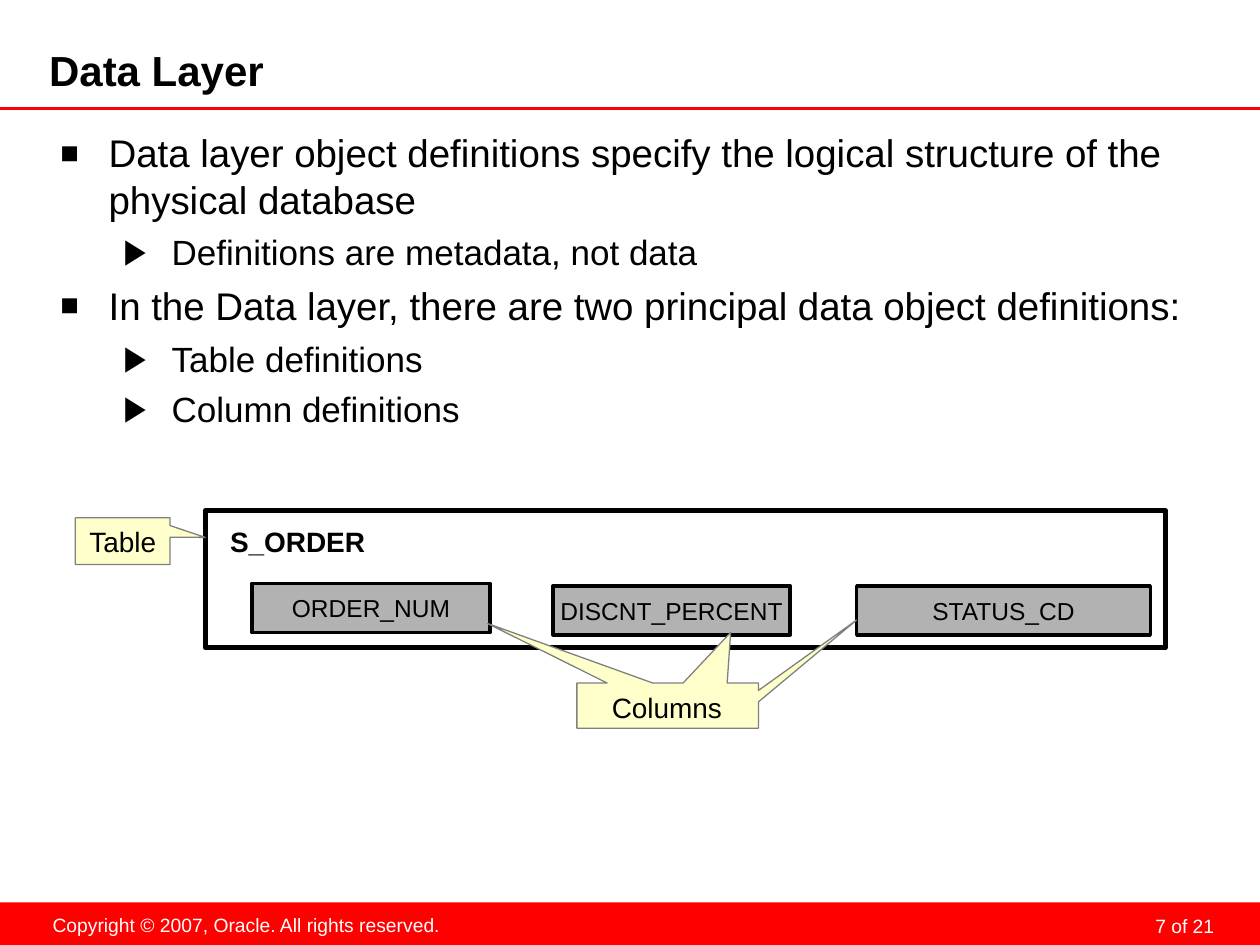
from lxml.etree import SubElement
from pptx import Presentation
from pptx.dml.color import RGBColor
from pptx.enum.shapes import MSO_CONNECTOR as CONN, MSO_SHAPE as SHAPE
from pptx.enum.text import MSO_ANCHOR as ANCHOR, PP_ALIGN as ALIGN
from pptx.oxml.ns import qn
from pptx.util import Cm, Pt

COLORS = {
    "red": "FF0000",
    "white": "FFFFFF",
    "black": "000000",
    "cell": "B2B2B2",
    "callout": "FFFFCC",
    "outline": "808080",
}
INSETS = (0.25, 0.13, 0.25, 0.13)
LEVELS = [
    {"char": "■", "percent": 80, "size": 22, "left": 0.97, "before": 5.5},
    {"char": "▶", "percent": 100, "size": 20, "left": 2.24, "before": 5},
]
BULLETS = [
    (0, "Data layer object definitions specify the logical structure of the physical database"),
    (1, "Definitions are metadata, not data"),
    (0, "In the Data layer, there are two principal data object definitions:"),
    (1, "Table definitions"),
    (1, "Column definitions"),
]


def rgb(name):
    return RGBColor.from_string(COLORS[name])


def style_shape(sp, fill=None, line=None, width=1):
    sp.shadow.inherit = False
    if fill:
        sp.fill.solid()
        sp.fill.fore_color.rgb = rgb(fill)
    else:
        sp.fill.background()
    if line:
        sp.line.color.rgb = rgb(line)
        sp.line.width = Pt(width)
    else:
        sp.line.fill.background()


def style_font(font, size, color="black", bold=False):
    font.name = "Arial"
    font.size = Pt(size)
    font.bold = bold
    font.color.rgb = rgb(color)


def set_frame(tf, insets=INSETS, anchor=ANCHOR.TOP, wrap=True):
    tf.margin_left, tf.margin_top, tf.margin_right, tf.margin_bottom = map(Cm, insets)
    tf.vertical_anchor = anchor
    tf.word_wrap = wrap


def put_text(sp, text, size, color="black", bold=False, align=ALIGN.LEFT, **frame):
    tf = sp.text_frame
    set_frame(tf, **frame)
    tf.text = text
    p = tf.paragraphs[0]
    p.alignment = align
    style_font(p.runs[0].font, size, color, bold)
    return p


def add_box(s, x, y, w, h, kind=SHAPE.RECTANGLE, **style):
    sp = s.shapes.add_shape(kind, Cm(x), Cm(y), Cm(w), Cm(h))
    style_shape(sp, **style)
    return sp


def add_label(s, x, y, w, h, text, size, **style):
    sp = s.shapes.add_textbox(Cm(x), Cm(y), Cm(w), Cm(h))
    return put_text(sp, text, size, **style)


def set_bullet(p, level):
    pPr = p._p.get_or_add_pPr()
    pPr.set("marL", str(Cm(level["left"])))
    pPr.set("indent", str(-Cm(0.97)))
    color = SubElement(pPr, qn("a:buClr"))
    SubElement(color, qn("a:srgbClr"), val=COLORS["black"])
    SubElement(pPr, qn("a:buSzPct"), val=str(level["percent"] * 1000))
    SubElement(pPr, qn("a:buFont"), typeface="Arial")
    SubElement(pPr, qn("a:buChar"), char=level["char"])


def add_footer(s, x, y, w, h):
    add_box(s, x, y, w, h, fill="red")
    p = add_label(s, x + 18.69, y + 0.08, 5.92, 0.64, "7 of 21", 11, color="white",
                  align=ALIGN.RIGHT, insets=(0.13, 0, 0.13, 0))
    p.line_spacing = Pt(18)
    add_label(s, x + 0.79, y + 0.1, 8.36, 0.74,
              "Copyright © 2007, Oracle. All rights reserved.", 11, color="white",
              align=ALIGN.CENTER, wrap=False)


def add_header(s, x, y, w, h):
    rule = s.shapes.add_connector(CONN.STRAIGHT, Cm(x), Cm(y + h), Cm(x + w), Cm(y + h))
    rule.line.color.rgb = rgb("red")
    rule.line.width = Pt(1.75)
    SubElement(rule._element.spPr, qn("a:effectLst"))
    add_label(s, x + 0.99, y + 0.97, 19.99, 1.02, "Data Layer", 24, bold=True,
              insets=(0, 0, 0.13, 0.13), anchor=ANCHOR.MIDDLE)


def add_body(s, x, y, w, h):
    tf = s.shapes.add_textbox(Cm(x), Cm(y), Cm(w), Cm(h)).text_frame
    set_frame(tf, insets=(0.25, 0.25, 0.25, 0.13))
    for i, (depth, text) in enumerate(BULLETS):
        level = LEVELS[depth]
        p = tf.add_paragraph() if i else tf.paragraphs[0]
        p.text = text
        p.level = depth
        if i:
            p.space_before = Pt(level["before"])
        set_bullet(p, level)
        style_font(p.runs[0].font, level["size"])


def add_table_diagram(s, x, y, w, h):
    add_box(s, x, y, w, h, line="black", width=3)
    add_label(s, x + 0.25, y + 0.15, 3.23, 0.94, "S_ORDER", 16, bold=True, wrap=False)
    columns = [
        ("ORDER_NUM", 0.94, 1.47, 4.8),
        ("DISCNT_PERCENT", 7.01, 1.52, 4.78),
        ("STATUS_CD", 13.13, 1.52, 5.92),
    ]
    for name, left, top, width in columns:
        sp = add_box(s, x + left, y + top, width, 0.99, fill="cell", line="black", width=2)
        put_text(sp, name, 14, align=ALIGN.CENTER, anchor=ANCHOR.MIDDLE, wrap=False)


def add_columns_callout(s, x, y, w, h):
    left, right, top = 1.8, 5.46, 1.27
    outline = [
        (left, top), (2.41, top), (0, 0.07), (3.33, top), (3.94, top), (4.9, 0.25),
        (4.83, top), (right, top), (right, 1.42), (w, 0), (right, 1.65), (right, h), (left, h),
    ]
    points = [(Cm(x + px), Cm(y + py)) for px, py in outline]
    builder = s.shapes.build_freeform(*points[0])
    builder.add_line_segments(points[1:], close=True)
    style_shape(builder.convert_to_shape(), fill="callout", line="outline", width=0.75)
    add_label(s, x + 0.25, y + 1.3, 6.73, 0.94, "Columns", 16, align=ALIGN.CENTER)


def add_table_callout(s, x, y, w, h):
    sp = add_box(s, x, y, w, h, kind=SHAPE.RECTANGULAR_CALLOUT,
                 fill="callout", line="outline", width=0.75)
    sp.adjustments[0] = 0.87
    sp.adjustments[1] = -0.08
    put_text(sp, "Table", 16, align=ALIGN.CENTER, anchor=ANCHOR.MIDDLE, wrap=False)


def main():
    prs = Presentation()
    prs.slide_width, prs.slide_height = Cm(25.4), Cm(19.05)
    s = prs.slides.add_slide(prs.slide_layouts[6])
    add_footer(s, 0, 18.19, 25.4, 0.86)
    add_header(s, 0, 0, 25.4, 2.18)
    add_body(s, 0.97, 2.36, 23.62, 15.67)
    add_table_diagram(s, 4.14, 10.29, 19.35, 2.77)
    add_columns_callout(s, 9.83, 12.5, 7.44, 2.18)
    add_table_callout(s, 1.52, 10.44, 1.91, 0.94)
    prs.save("out.pptx")


if __name__ == "__main__":
    main()
